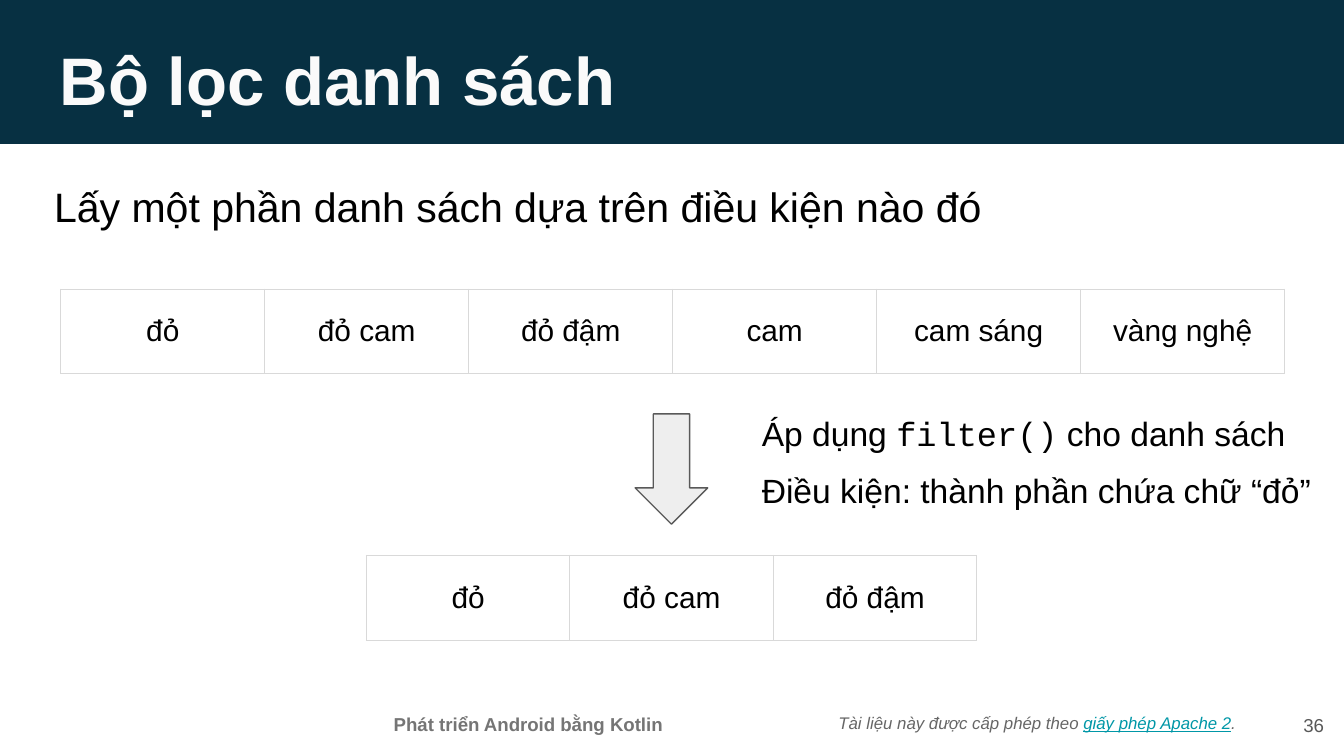
from lxml.etree import SubElement
from pptx import Presentation
from pptx.dml.color import RGBColor
from pptx.enum.shapes import MSO_SHAPE
from pptx.enum.text import MSO_ANCHOR, PP_ALIGN
from pptx.oxml.ns import qn
from pptx.util import Inches, Pt

WIDE = Inches(10)
HIGH = WIDE * 9 // 16
UNIT = WIDE / 100
PAD = Inches(0.1)
BASE = {"name": "Arial", "size": Pt(18), "color": "000000"}


def grid(*spans):
    """Turn spans in hundredths of the slide's width into lengths."""
    return [round(span * UNIT) for span in spans]


def tint(part, code):
    """Give a fill or a font colour format a hex colour."""
    part.rgb = RGBColor.from_string(code)


def style(font, form):
    """Set font attributes from a dict of format values."""
    for key, value in form.items():
        if key == "color":
            tint(font.color, value)
        else:
            setattr(font, key, value)


def write(para, runs, form, align):
    """Fill a paragraph with runs that vary one base format."""
    para.alignment = align
    for words, extra in runs:
        run = para.add_run()
        run.text = words
        style(run.font, {**BASE, **form, **extra})


def label(slide, spot, runs, form, align=PP_ALIGN.LEFT, anchor=MSO_ANCHOR.TOP):
    """Add a wrapped text box with even insets."""
    frame = slide.shapes.add_textbox(*grid(*spot)).text_frame
    values = {"word_wrap": True, "vertical_anchor": anchor}
    for side in ("left", "top", "right", "bottom"):
        values[f"margin_{side}"] = PAD
    for key, value in values.items():
        setattr(frame, key, value)
    write(frame.paragraphs[0], runs, form, align)


def block(slide, kind, spot, fill, edge=None):
    """Add a flat filled shape with an optional outline."""
    shape = slide.shapes.add_shape(kind, *grid(*spot))
    shape.shadow.inherit = False
    shape.fill.solid()
    tint(shape.fill.fore_color, fill)
    if edge:
        tint(shape.line.color, edge)
        shape.line.width = Pt(0.75)
    else:
        shape.line.fill.background()


def border(cell, code):
    """Draw thin borders on all sides of a cell."""
    props = cell._tc.get_or_add_tcPr()
    for spot, side in enumerate(("lnL", "lnR", "lnT", "lnB")):
        line = props.makeelement(qn(f"a:{side}"), {"w": str(Pt(0.75))})
        fill = SubElement(line, qn("a:solidFill"))
        SubElement(fill, qn("a:srgbClr"), val=code)
        props.insert(spot, line)


def row(slide, left, top, step, words):
    """Add a one-row table that shows the items of a list."""
    spot = grid(left, top, step * len(words), 6.3)
    table = slide.shapes.add_table(1, len(words), *spot).table
    table.first_row = table.horz_banding = False
    for col, word in enumerate(words):
        table.columns[col].width = grid(step)[0]
        cell = table.cell(0, col)
        cell.fill.background()
        cell.vertical_anchor = MSO_ANCHOR.MIDDLE
        cell.margin_left = cell.margin_right = PAD
        cell.margin_top = cell.margin_bottom = PAD
        write(cell.text_frame.paragraphs[0], [(word, {})], {"size": Pt(16)}, PP_ALIGN.CENTER)
        border(cell, "D9D9D9")


def footer(slide):
    """Add the licence, the course name and the page number."""
    note = [
        ("Tài liệu này được cấp phép theo ", {}),
        ("giấy phép Apache 2", {"color": "0097A7", "underline": True}),
        (".", {}),
    ]
    label(slide, (61.4, 51.45, 34, 4.7), note,
          {"size": Pt(9), "color": "666666", "italic": True}, anchor=MSO_ANCHOR.MIDDLE)
    label(slide, (25.15, 52.2, 28.3, 3.2), [("Phát triển Android bằng Kotlin", {})],
          {"size": Pt(10), "color": "757575", "bold": True}, PP_ALIGN.CENTER)
    label(slide, (93.5, 51.8, 6, 4.3), [("36", {})],
          {"size": Pt(10), "color": "595959"}, PP_ALIGN.RIGHT, MSO_ANCHOR.MIDDLE)


def main():
    """Build the slide on list filters."""
    deck = Presentation()
    deck.slide_width, deck.slide_height = WIDE, HIGH
    slide = deck.slides.add_slide(deck.slide_layouts[6])
    block(slide, MSO_SHAPE.RECTANGLE, (-0.1, -0.4, 100.1, 11.12), "073042")
    footer(slide)
    label(slide, (3.45, 1.85, 93.2, 6.3), [("Bộ lọc danh sách", {})],
          {"size": Pt(36), "color": "FAFAFA", "bold": True})
    label(slide, (3.05, 12.5, 95.3, 5.4),
          [("Lấy một phần danh sách dựa trên điều kiện nào đó", {})], {"size": Pt(22)})
    items = ["đỏ", "đỏ cam", "đỏ đậm", "cam", "cam sáng", "vàng nghệ"]
    row(slide, 4.52, 21.52, 15.18, items)
    row(slide, 27.26, 41.34, 15.14, [item for item in items if "đỏ" in item])
    block(slide, MSO_SHAPE.DOWN_ARROW, (47.26, 30.8, 5.4, 8.2), "EEEEEE", "595959")
    call = [("Áp dụng ", {}), ("filter()", {"name": "Courier New"}), (" cho danh sách", {})]
    rule = [("Điều kiện: thành phần chứa chữ “đỏ”", {})]
    for pos, runs in enumerate((call, rule)):
        label(slide, (55.7, 29.7 + 4.3 * pos, 43, 5.4), runs, {})
    deck.save("out.pptx")


if __name__ == "__main__":
    main()
